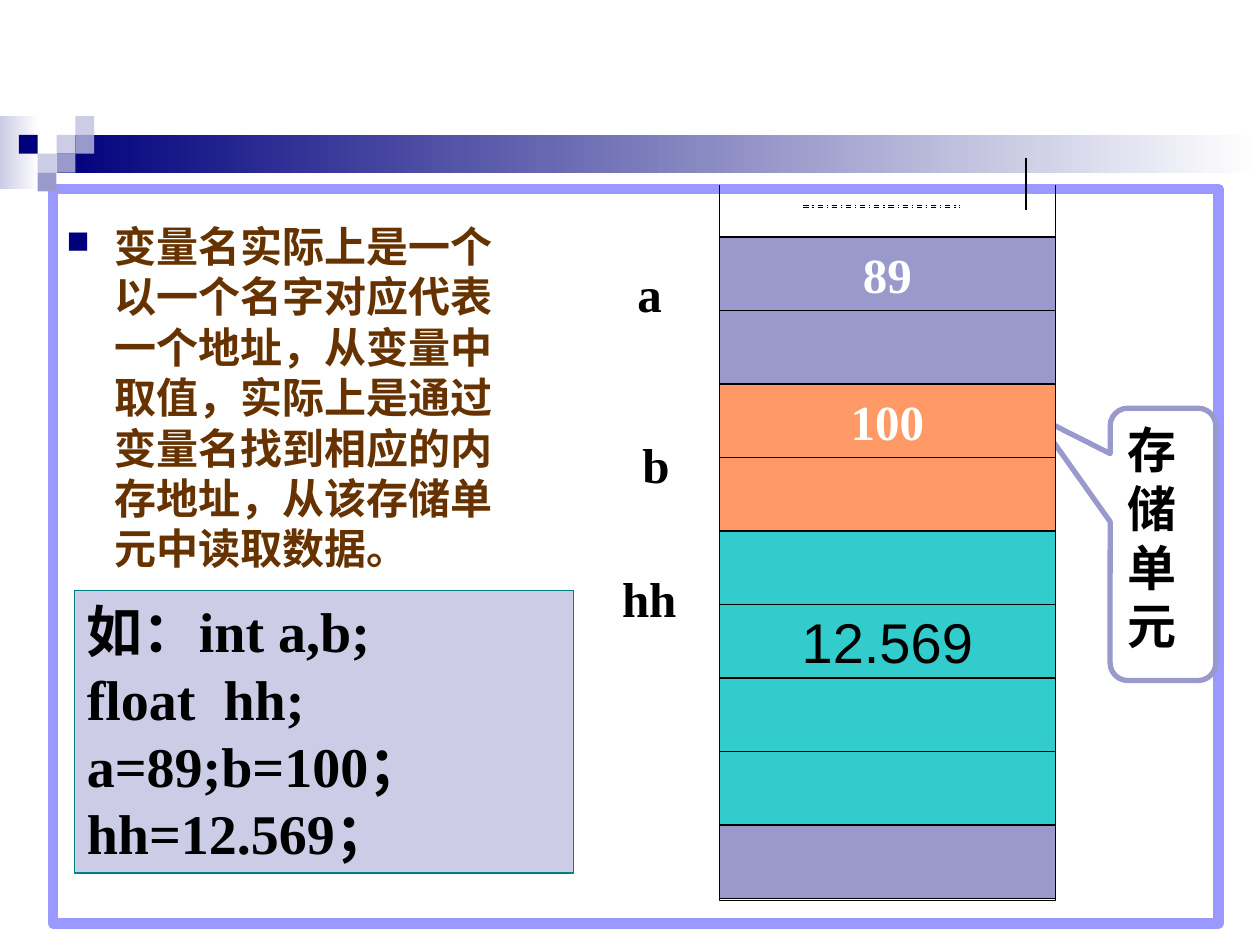
from lxml.etree import SubElement
from pptx import Presentation
from pptx.dml.color import RGBColor
from pptx.enum.dml import MSO_LINE_DASH_STYLE as Dash
from pptx.enum.shapes import MSO_CONNECTOR as Connector, MSO_SHAPE as Shape
from pptx.enum.text import MSO_ANCHOR as Anchor, PP_ALIGN as Align
from pptx.oxml.ns import qn
from pptx.util import Cm, Pt

COLORS = {
    "white": "FFFFFF", "black": "000000", "navy": "00007D", "frame": "9999FF",
    "violet": "9999CC", "lilac": "CCCCE6", "orange": "FF9966",
    "turquoise": "33CCCC", "teal": "008080", "brown": "663300",
}
SERIF, SANS, CJK = "Times New Roman", "Arial", "Noto Sans CJK SC"
LABEL = {"name": SERIF, "size": Pt(28), "bold": True}


def rgb(color):
    return RGBColor.from_string(COLORS[color])


def add_box(shapes, box, fill=None, line=None, width=0.75, kind=Shape.RECTANGLE):
    """Add a shape; fill is a colour name, a pair for a gradient, or None."""
    shape = shapes.add_shape(kind, *map(Cm, box))
    shape.shadow.inherit = False
    if isinstance(fill, tuple):
        shape.fill.gradient()
        shape.fill.gradient_angle = 0
        for stop, color in zip(shape.fill.gradient_stops, fill):
            stop.color.rgb = rgb(color)
    elif fill:
        shape.fill.solid()
        shape.fill.fore_color.rgb = rgb(fill)
    else:
        shape.fill.background()
    if line:
        shape.line.color.rgb = rgb(line)
        shape.line.width = Pt(width)
    else:
        shape.line.fill.background()
    return shape


def add_line(shapes, start, end, dash=None):
    line = shapes.add_connector(Connector.STRAIGHT, *map(Cm, start + end))
    line.line.color.rgb = rgb("black")
    line.line.width = Pt(0.75)
    if dash:
        line.line.dash_style = dash
    SubElement(line._element.spPr, qn("a:effectLst"))


def write(shape, lines, font, color="black", align=Align.LEFT,
          anchor=Anchor.TOP, wrap=True, leading=None):
    frame = shape.text_frame
    frame.word_wrap = wrap
    frame.vertical_anchor = anchor
    for i, line in enumerate(lines):
        paragraph = frame.paragraphs[0] if i == 0 else frame.add_paragraph()
        paragraph.alignment = align
        if leading:
            paragraph.line_spacing = Pt(leading)
        run = paragraph.add_run()
        run.text = line
        for name, value in font.items():
            setattr(run.font, name, value)
        run.font.color.rgb = rgb(color)
        SubElement(run._r.get_or_add_rPr(), qn("a:ea"), typeface=CJK)
    return frame


def add_bullet(paragraph, color, indent):
    properties = paragraph._p.get_or_add_pPr()
    properties.set("marL", str(Cm(indent)))
    properties.set("indent", str(-Cm(indent)))
    bullet_color = SubElement(properties, qn("a:buClr"))
    SubElement(bullet_color, qn("a:srgbClr"), val=COLORS[color])
    SubElement(properties, qn("a:buSzPct"), val="75000")
    SubElement(properties, qn("a:buChar"), char="■")


def add_banner(shapes, left, top, width):
    """Gradient bars with a stepped pattern of small squares."""
    step = 0.38
    origin = left + 2 * step
    add_box(shapes, (left, top, 0.79, 1.48), ("lilac", "white"))
    add_box(shapes, (origin + step, top + step, width - origin - step, 2 * step),
            ("navy", "white"))
    squares = [(1, 1, "lilac"), (2, 0, "lilac"), (2, 1, "violet"), (0, 2, "lilac"),
               (-1, 1, "navy"), (1, 2, "violet"), (0, 3, "violet")]
    for column, row, color in squares:
        add_box(shapes, (origin + column * step, top + row * step, step, step), color)


def add_explanation(shapes, box):
    text = ("变量名实际上是一个以一个名字对应代表一个地址，从变量中取值，"
            "实际上是通过变量名找到相应的内存地址，从该存储单元中读取数据。")
    frame = write(shapes.add_textbox(*map(Cm, box)), [text],
                  {"name": CJK, "size": Pt(24), "bold": True}, "brown", leading=28.8)
    add_bullet(frame.paragraphs[0], "navy", 0.97)


def add_code(shapes, box):
    code = ["如：int a,b;", "float  hh;", "a=89;b=100；", "hh=12.569；"]
    write(add_box(shapes, box, "lilac", "teal"), code,
          {"name": SERIF, "size": Pt(32), "bold": True}, leading=38.4)


def add_callout(shapes, box):
    callout = add_box(shapes, box, None, "violet", 3, Shape.ROUNDED_RECTANGULAR_CALLOUT)
    for i, value in enumerate((-1.214, -0.473, 0.167)):
        callout.adjustments[i] = value
    write(callout, ["存储单元"], LABEL, leading=33.6)


def add_open_top(shapes, left, top, width, height):
    """Side lines and a dashed line: memory goes on above the cells."""
    for x in (left, left + width):
        add_line(shapes, (x, top), (x, top + height))
    add_line(shapes, (left + width * 0.25, top + 0.41),
             (left + width * 0.715, top + 0.41), Dash.DASH_DOT)


def add_memory(shapes, left, top, width, height):
    """Column of memory cells over a slightly lower backing sheet."""
    number = dict(LABEL, name=SANS, size=Pt(32), bold=False)
    cells = [("violet", "89", LABEL, "white"), ("violet",),
             ("orange", "100", LABEL, "white"), ("orange",),
             ("turquoise",), ("turquoise", "12.569", number, "black"),
             ("turquoise",), ("turquoise",), ("violet",)]
    open_height, offset = 1.05, 0.05
    cells_top = top + open_height
    cell_height = (height - open_height) / len(cells)

    add_box(shapes, (left, cells_top + offset, width, height - open_height),
            "white", "black")
    for shift in (offset, 0):
        add_open_top(shapes, left, top + shift, width, open_height)
    for row, (fill, *content) in enumerate(cells):
        cell = add_box(shapes, (left, cells_top + row * cell_height, width, cell_height),
                       fill, "black")
        if content:
            value, font, color = content
            write(cell, [value], font, color, Align.CENTER, Anchor.MIDDLE, wrap=False)


def add_variable_names(shapes):
    for name, left, top, width in [("a", 12.6, 5.18, 1.9), ("b", 12.7, 8.64, 1.27),
                                   ("hh", 12.29, 11.33, 2.11)]:
        write(shapes.add_textbox(Cm(left), Cm(top), Cm(width), Cm(1.45)), [name], LABEL)


def main():
    deck = Presentation()
    deck.slide_width, deck.slide_height = Cm(25.4), Cm(19.05)
    shapes = deck.slides.add_slide(deck.slide_layouts[6]).shapes
    add_box(shapes, (1.07, 3.81, 23.5, 14.81), "white", "frame", 6)
    add_banner(shapes, 0, 2.34, 25.4)
    add_explanation(shapes, (1.09, 4.32, 9.6, 5.38))
    add_callout(shapes, (22.38, 8.23, 2.13, 5.49))
    add_line(shapes, (20.68, 3.18), (20.68, 4.24))
    add_variable_names(shapes)
    add_code(shapes, (1.5, 11.91, 10.06, 5.69))
    add_memory(shapes, 14.5, 3.73, 6.78, 14.38)
    deck.save("out.pptx")


if __name__ == "__main__":
    main()
